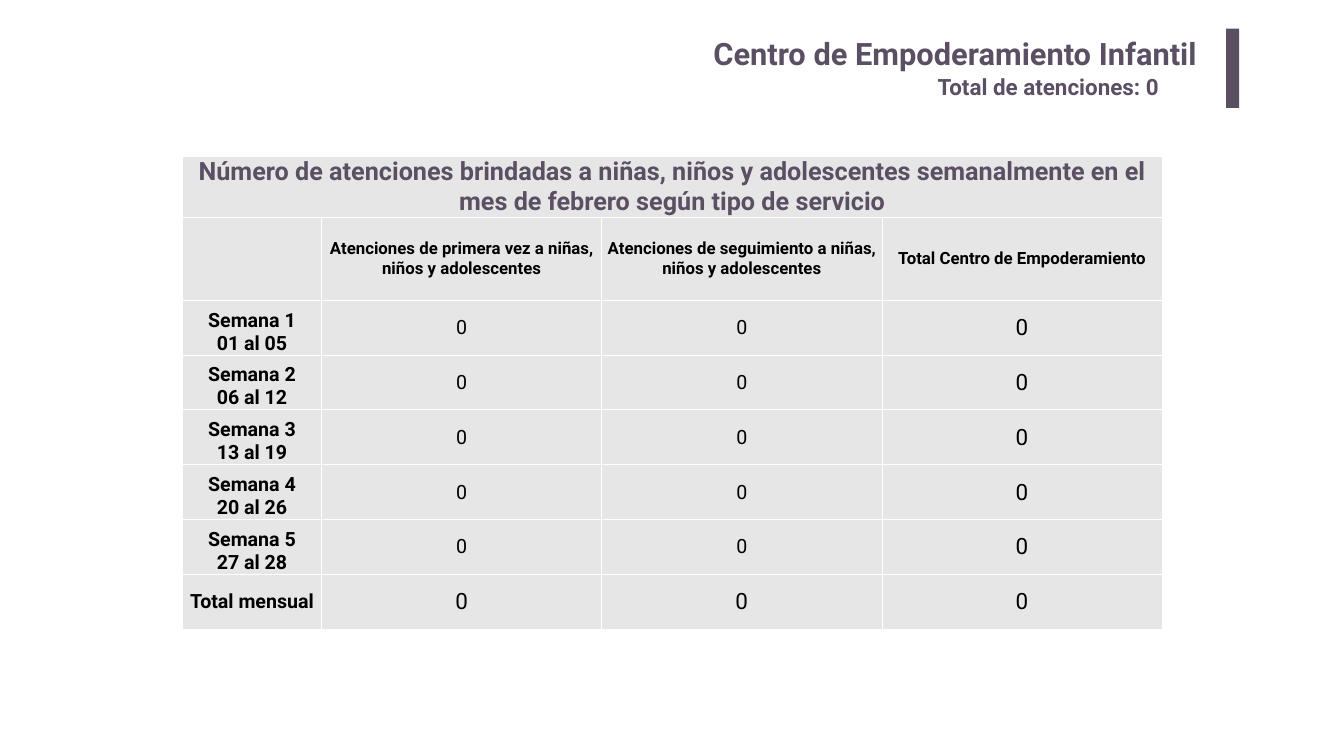
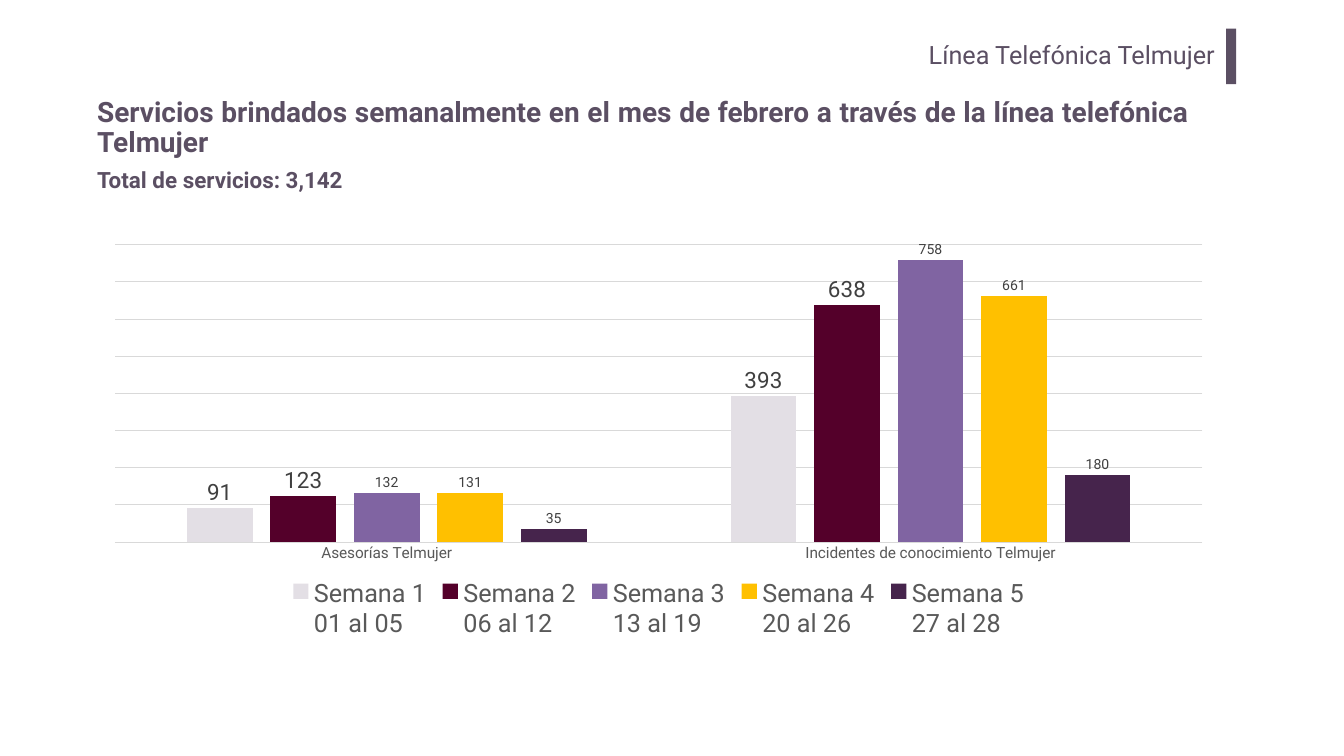
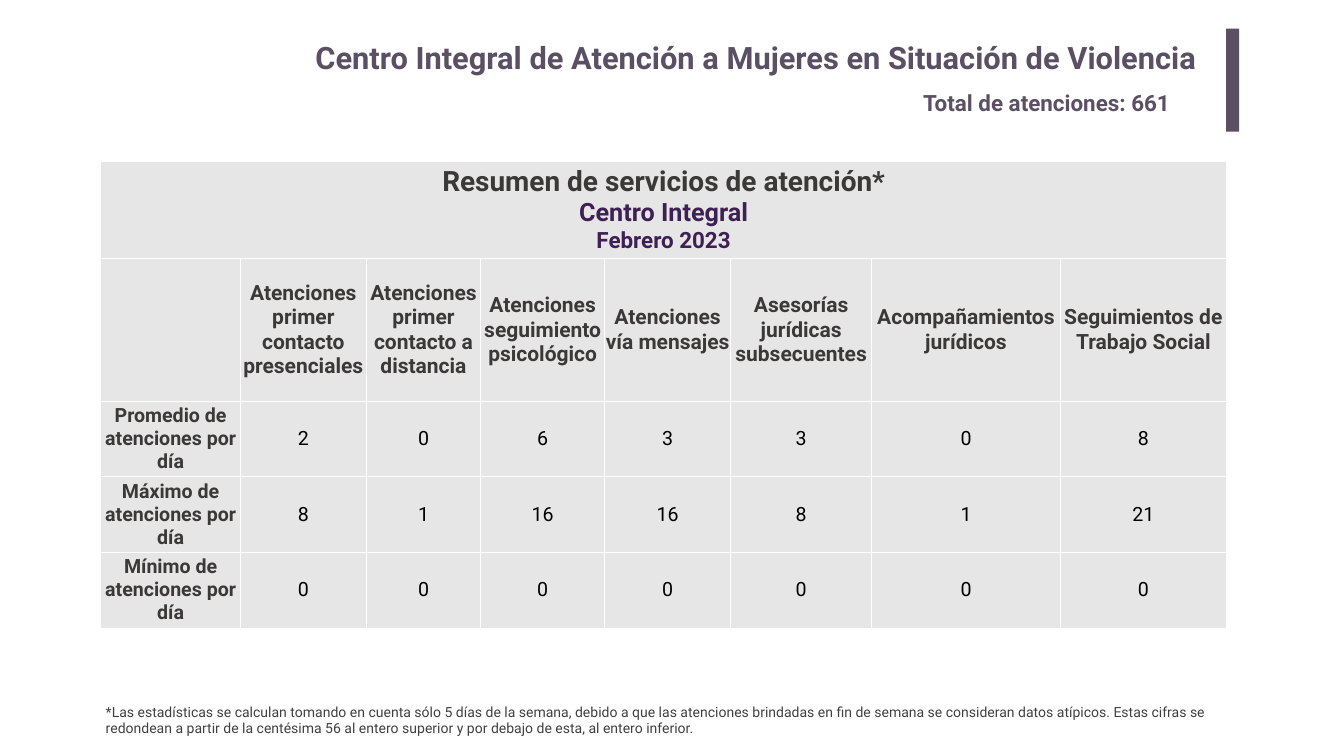
from pptx import Presentation
from pptx.chart.data import CategoryChartData
from pptx.dml.color import RGBColor
from pptx.enum.chart import XL_CHART_TYPE as ChartType, XL_LABEL_POSITION as LabelPos
from pptx.enum.chart import XL_LEGEND_POSITION as LegendPos, XL_TICK_LABEL_POSITION as TickPos
from pptx.enum.chart import XL_TICK_MARK as TickMark
from pptx.enum.shapes import MSO_SHAPE as Preset
from pptx.enum.text import MSO_ANCHOR as Anchor, MSO_AUTO_SIZE as AutoSize, PP_ALIGN as Align
from pptx.oxml import parse_xml
from pptx.oxml.ns import nsdecls
from pptx.util import Inches, Pt

# Shared look
FONT = "Roboto"
PLUM, VIOLET, CELL, WHITE, BLACK = "5B4F63", "3E2054", "E7E6E6", "FFFFFF", "000000"
CHARCOAL, DARK_GREY, GREY, RULE = "3B3838", "404040", "595959", "D9D9D9"

# Content
WEEKS = ["Semana 1\n01 al 05", "Semana 2\n06 al 12", "Semana 3\n13 al 19",
         "Semana 4\n20 al 26", "Semana 5\n27 al 28"]

CHILD_CAPTION = [("Número de atenciones brindadas a niñas, niños y adolescentes semanalmente "
                  "en el mes de febrero según tipo de servicio", 36, PLUM)]
CHILD_HEADS = ["Atenciones de primera vez a niñas, niños y adolescentes",
               "Atenciones de seguimiento a niñas, niños y adolescentes",
               "Total Centro de Empoderamiento"]
CHILD_ROWS = [(week, [0, 0, 0]) for week in WEEKS] + [("Total mensual", [0, 0, 0])]

PHONE_SERVICES = ["Asesorías Telmujer", "Incidentes de conocimiento Telmujer"]
PHONE_WEEKS = [  # values, colour, label size
    ((91, 393), "E3DFE5", 32),
    ((123, 638), "54002A", 32),
    ((132, 758), "8064A2", 20),
    ((131, 661), "FFC000", 20),
    ((35, 180), "46244C", 20),
]

CARE_CAPTION = [("Resumen de servicios de atención*", 40, CHARCOAL),
                ("Centro Integral", 36, VIOLET),
                ("Febrero 2023", 32, VIOLET)]
CARE_HEADS = ["Atenciones primer contacto presenciales", "Atenciones primer contacto a distancia",
              "Atenciones seguimiento psicológico", "Atenciones vía mensajes",
              "Asesorías jurídicas subsecuentes", "Acompañamientos jurídicos",
              "Seguimientos de Trabajo Social"]
CARE_ROWS = [("Promedio de atenciones por día", [2, 0, 6, 3, 3, 0, 8]),
             ("Máximo de atenciones por día", [8, 1, 16, 16, 8, 1, 21]),
             ("Mínimo de atenciones por día", [0] * 7)]
CARE_NOTE = ("*Las estadísticas se calculan tomando en cuenta sólo 5 días de la semana, debido a que "
             "las atenciones brindadas en fin de semana se consideran datos atípicos. Estas cifras se "
             "redondean a partir de la centésima 56 al entero superior y por debajo de esta, al entero "
             "inferior.")


def rgb(code):
    return RGBColor.from_string(code)


def style(font, size, color, bold=False):
    font.name, font.size, font.bold = FONT, Pt(size), bold
    font.color.rgb = rgb(color)


def box(left, top, width, height):
    return [Inches(v) for v in (left, top, width, height)]


def new_slide(deck, title, left, top, bar_width, bar_height, size=44, bold=True):
    """Right-aligned title with the plum bar beside it."""
    slide = deck.slides.add_slide(deck.slide_layouts[5])
    heading = slide.shapes.title
    heading.left, heading.top, heading.width, heading.height = box(left, top, 20.3, 1.02)
    frame = heading.text_frame
    frame.text = title
    frame.word_wrap, frame.auto_size, frame.vertical_anchor = True, AutoSize.NONE, Anchor.TOP
    frame.margin_left = frame.margin_right = Inches(0.2)
    frame.margin_top = frame.margin_bottom = Inches(0.1)
    frame.paragraphs[0].alignment = Align.RIGHT
    style(frame.paragraphs[0].font, size, PLUM, bold)

    bar = slide.shapes.add_shape(Preset.RECTANGLE, *box(24.33, 0.57, bar_width, bar_height))
    bar.shadow.inherit = False
    bar.fill.solid()
    bar.fill.fore_color.rgb = rgb(PLUM)
    bar.line.fill.background()
    return slide


def add_text(slide, text, place, size, color=PLUM, bold=True, grow=True):
    frame = slide.shapes.add_textbox(*box(*place)).text_frame
    frame.text = text
    frame.word_wrap = True
    frame.auto_size = AutoSize.SHAPE_TO_FIT_TEXT if grow else AutoSize.NONE
    style(frame.paragraphs[0].font, size, color, bold)
    return frame


def fill_cell(cell, lines, bold=True, anchor=Anchor.MIDDLE, inset=0.0):
    """Write (text, size, colour) lines centred in a cell."""
    cell.vertical_anchor = anchor
    cell.margin_left = cell.margin_right = cell.margin_top = Inches(inset)
    cell.margin_bottom = 0
    frame = cell.text_frame
    for i, (text, size, color) in enumerate(lines):
        paragraph = frame.add_paragraph() if i else frame.paragraphs[0]
        paragraph.text = text.replace("\n", "\v")
        paragraph.alignment = Align.CENTER
        style(paragraph.font, size, color, bold)


def add_grid(slide, place, widths, heights, caption, heads, head_style, inset):
    """Table with a merged caption row and a row of column heads."""
    table = slide.shapes.add_table(len(heights), len(widths), *box(*place)).table
    table.first_row = table.horz_banding = False
    for column, width in zip(table.columns, widths):
        column.width = Inches(width)
    for row, height in zip(table.rows, heights):
        row.height = Inches(height)
    for cell in table.iter_cells():
        props = cell._tc.get_or_add_tcPr()
        for side in ("lnL", "lnR", "lnT", "lnB"):
            props.append(parse_xml(
                f'<a:{side} {nsdecls("a")} w="12700"><a:solidFill><a:srgbClr val="{WHITE}"/>'
                f'</a:solidFill></a:{side}>'))
        cell.fill.solid()
        cell.fill.fore_color.rgb = rgb(CELL)
    table.cell(0, 0).merge(table.cell(0, len(widths) - 1))
    fill_cell(table.cell(0, 0), caption, inset=inset)
    for c, head in enumerate(heads, 1):
        fill_cell(table.cell(1, c), [(head, *head_style)], inset=inset)
    return table


def child_slide(deck):
    slide = new_slide(deck, "Centro de Empoderamiento Infantil", 3.66, 0.58, 0.26, 1.57)
    add_text(slide, "Total de atenciones: 0", (18.51, 1.41, 5.51, 0.64), 32)
    table = add_grid(slide, (3.62, 3.1, 19.44, 9.4), [2.76] + [5.56] * 3,
                     [1.09, 1.64] + [1.09] * len(CHILD_ROWS),
                     CHILD_CAPTION, CHILD_HEADS, (24, BLACK), 0.01)
    total_row, total_column = len(CHILD_ROWS) + 1, len(CHILD_HEADS)
    for r, (period, counts) in enumerate(CHILD_ROWS, 2):
        anchor = Anchor.MIDDLE if r == total_row else Anchor.BOTTOM
        fill_cell(table.cell(r, 0), [(period, 28, BLACK)], anchor=anchor, inset=0.01)
        for c, count in enumerate(counts, 1):
            size = 32 if r == total_row or c == total_column else 28
            fill_cell(table.cell(r, c), [(str(count), size, BLACK)], bold=False, inset=0.01)


def phone_slide(deck):
    slide = new_slide(deck, "Línea Telefónica Telmujer", 4.01, 0.67, 0.2, 1.1, 36, False)
    intro = add_text(slide, "Servicios brindados semanalmente en el mes de febrero a través de la "
                     "línea telefónica Telmujer", (1.83, 1.82, 21.85, 1.45), 40, grow=False)
    intro.vertical_anchor = Anchor.MIDDLE
    intro.paragraphs[0].alignment = Align.JUSTIFY
    intro.paragraphs[0].line_spacing = 0.9
    add_text(slide, "Total de servicios: 3,142", (1.83, 3.24, 5.64, 0.64), 32)

    # Weekly columns
    data = CategoryChartData(number_format="0")
    data.categories = PHONE_SERVICES
    for week, (counts, _, _) in zip(WEEKS, PHONE_WEEKS):
        data.add_series(week, counts)
    chart = slide.shapes.add_chart(ChartType.COLUMN_CLUSTERED, *box(1.83, 4.69, 22.48, 8.08),
                                   data).chart
    chart.has_title = False
    chart.font.name, chart.font.size = "Arial", Pt(10)
    chart.font.color.rgb = rgb(BLACK)
    chart.has_legend = True
    chart.legend.position, chart.legend.include_in_layout = LegendPos.BOTTOM, False
    style(chart.legend.font, 36, GREY)

    plot = chart.plots[0]
    plot.gap_width, plot.overlap, plot.vary_by_categories = 219, -27, False
    for series, (_, color, label_size) in zip(plot.series, PHONE_WEEKS):
        series.invert_if_negative = False
        series.format.fill.solid()
        series.format.fill.fore_color.rgb = rgb(color)
        labels = series.data_labels
        labels.show_value, labels.position = True, LabelPos.OUTSIDE_END
        labels.number_format, labels.number_format_is_linked = "0", False
        style(labels.font, label_size, DARK_GREY)

    services, counts_axis = chart.category_axis, chart.value_axis
    services.major_tick_mark = services.minor_tick_mark = TickMark.NONE
    services.tick_label_position = TickPos.NEXT_TO_AXIS
    style(services.tick_labels.font, 22, GREY)
    counts_axis.visible = False
    counts_axis.minimum_scale, counts_axis.maximum_scale, counts_axis.major_unit = 0, 800, 100
    counts_axis.has_major_gridlines = True
    for line in (services.format.line, counts_axis.major_gridlines.format.line):
        line.color.rgb = rgb(RULE)
        line.width = Pt(0.75)


def care_slide(deck):
    slide = new_slide(deck, "Centro Integral de Atención a Mujeres en Situación de Violencia",
                      3.66, 0.67, 0.26, 2.04)
    add_text(slide, "Total de atenciones: 661", (18.22, 1.71, 5.92, 0.64), 32)
    table = add_grid(slide, (2, 3.21, 22.33, 9.24),
                     [2.77, 2.5, 2.27, 2.46, 2.5, 2.8, 3.74, 3.3],
                     [1.92, 2.83] + [1.5] * len(CARE_ROWS),
                     CARE_CAPTION, CARE_HEADS, (30, CHARCOAL), 0)
    for r, (measure, counts) in enumerate(CARE_ROWS, 2):
        fill_cell(table.cell(r, 0), [(measure, 28, CHARCOAL)])
        for c, count in enumerate(counts, 1):
            fill_cell(table.cell(r, c), [(str(count), 28, BLACK)], bold=False)
    add_text(slide, CARE_NOTE, (2, 13.9, 22.33, 0.77), 20, DARK_GREY, bold=False)


def main():
    deck = Presentation()
    deck.slide_width, deck.slide_height = Inches(26.67), Inches(15)
    child_slide(deck)
    phone_slide(deck)
    care_slide(deck)
    deck.save("out.pptx")


if __name__ == "__main__":
    main()
